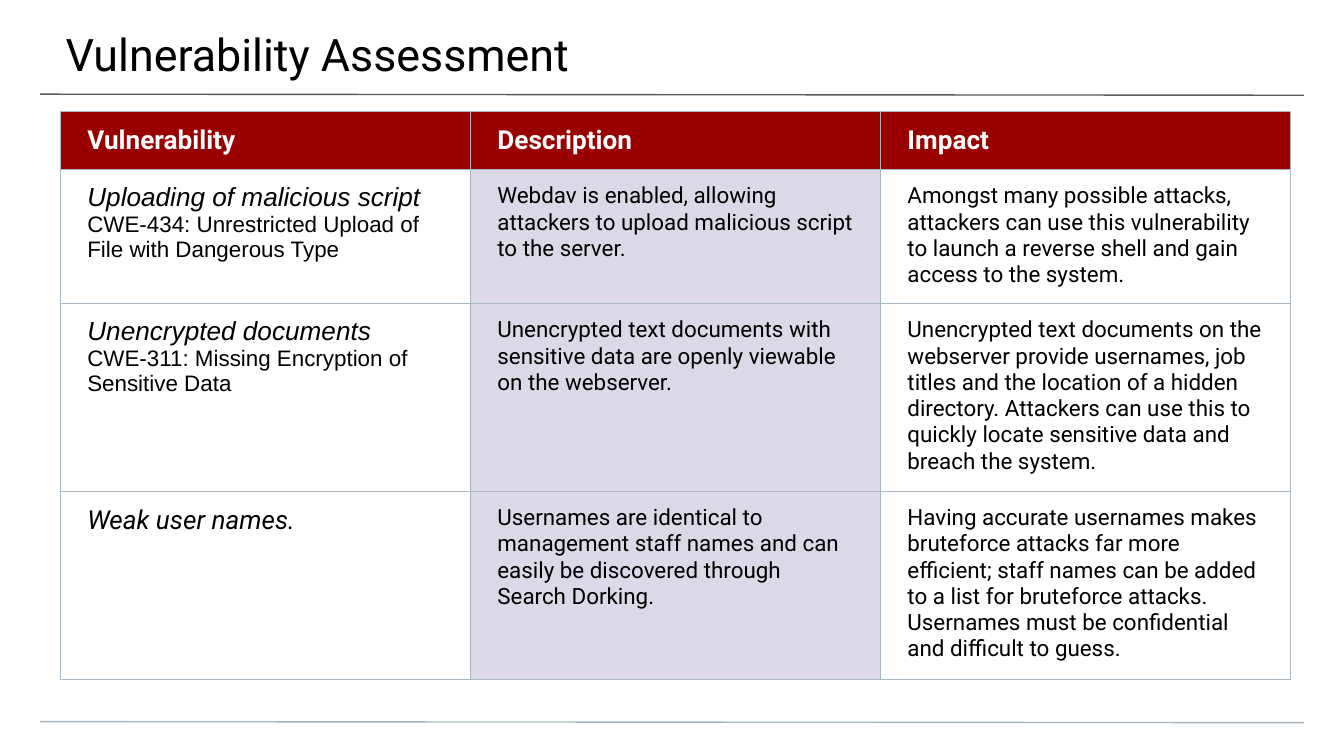
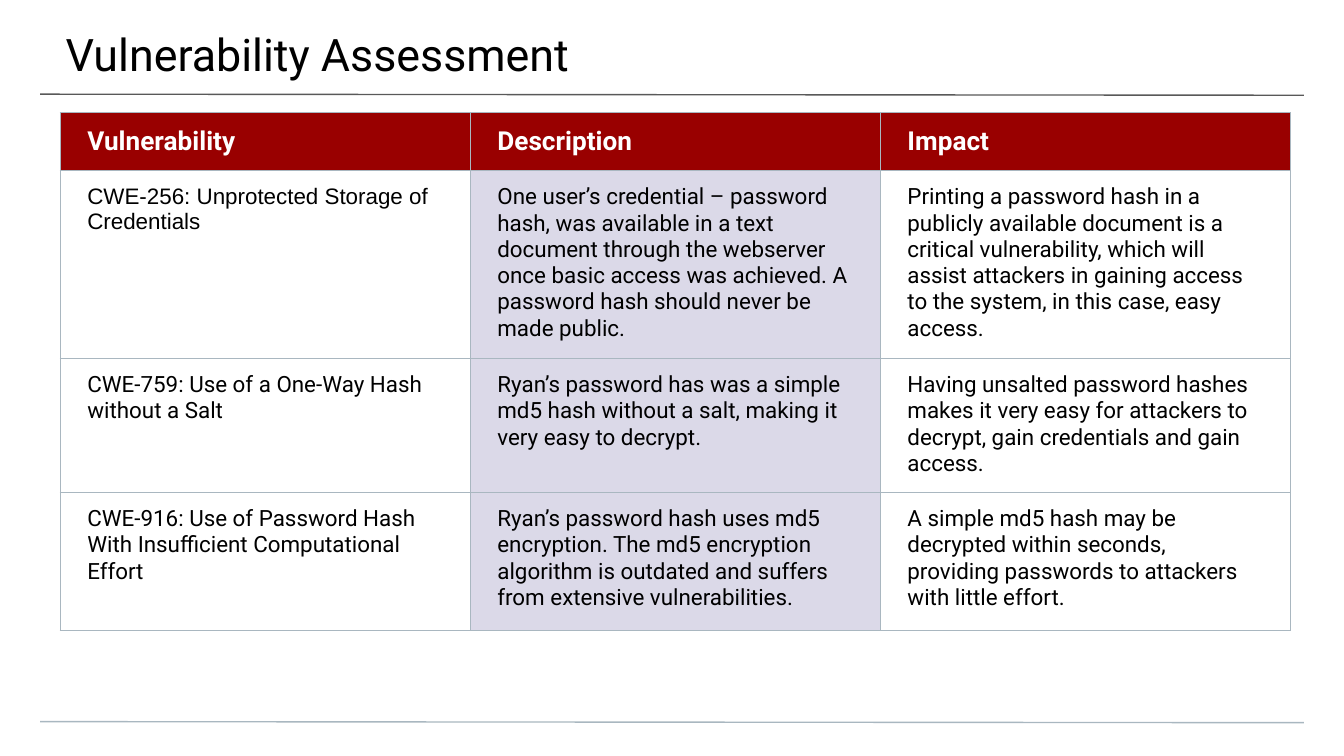
from dataclasses import dataclass

from lxml.etree import SubElement
from pptx import Presentation
from pptx.dml.color import RGBColor
from pptx.enum.shapes import MSO_CONNECTOR
from pptx.enum.text import MSO_ANCHOR
from pptx.oxml.ns import qn
from pptx.util import Cm, Pt

BLACK = RGBColor(0x00, 0x00, 0x00)
WHITE = RGBColor(0xFF, 0xFF, 0xFF)
DARK_RED = RGBColor(0x99, 0x00, 0x00)
LAVENDER = RGBColor(0xDB, 0xD9, 0xE8)
GREY = RGBColor(0x59, 0x59, 0x59)
BLUE_GREY = RGBColor(0xA9, 0xB7, 0xC0)

RULE_WIDTH = Pt(0.75)
COLUMN_WIDTH = Cm(7.75)
HEADER_HEIGHT = 1.1
HEADINGS = ("Vulnerability", "Description", "Impact")


@dataclass(frozen=True)
class TextStyle:
    size: int = 12
    font: str = "Roboto"
    color: RGBColor = BLACK
    bold: bool = False
    italic: bool = False

    def apply(self, paragraph):
        font = paragraph.font
        font.size, font.name = Pt(self.size), self.font
        font.bold, font.italic = self.bold, self.italic
        font.color.rgb = self.color


TITLE = TextStyle(size=24)
HEADING = TextStyle(size=14, color=WHITE, bold=True)
BODY = TextStyle()
WEAKNESS = TextStyle(font="Arial")
FINDING = TextStyle(size=14, font="Arial", italic=True)
SHORT_FINDING = TextStyle(size=14, italic=True)

# Each row: height in cm, styled paragraphs of the finding, description, impact.
SERVER_FINDINGS = [
    (2.49,
     [("Uploading of malicious script", FINDING),
      ("CWE-434: Unrestricted Upload of File with Dangerous Type", WEAKNESS)],
     "Webdav is enabled, allowing attackers to upload malicious script to the server.",
     "Amongst many possible attacks, attackers can use this vulnerability to launch "
     "a reverse shell and gain access to the system."),
    (3.48,
     [("Unencrypted documents", FINDING),
      ("CWE-311: Missing Encryption of Sensitive Data", WEAKNESS)],
     "Unencrypted text documents with sensitive data are openly viewable on the webserver.",
     "Unencrypted text documents on the webserver provide usernames, job titles and "
     "the location of a hidden directory. Attackers can use this to quickly locate "
     "sensitive data and breach the system."),
    (3.48,
     [("Weak user names.", SHORT_FINDING)],
     "Usernames are identical to management staff names and can easily be discovered "
     "through Search Dorking.",
     "Having accurate usernames makes bruteforce attacks far more efficient; staff "
     "names can be added to a list for bruteforce attacks. Usernames must be "
     "confidential and difficult to guess."),
]
PASSWORD_FINDINGS = [
    (3.48,
     [("CWE-256: Unprotected Storage of Credentials", WEAKNESS)],
     "One user’s credential – password hash, was available in a text document through "
     "the webserver once basic access was achieved. A password hash should never be "
     "made public.",
     "Printing a password hash in a publicly available document is a critical "
     "vulnerability, which will assist attackers in gaining access to the system, in "
     "this case, easy access."),
    (2.49,
     [("CWE-759: Use of a One-Way Hash without a Salt", BODY)],
     "Ryan’s password has was a simple md5 hash without a salt, making it very easy to "
     "decrypt.",
     "Having unsalted password hashes makes it very easy for attackers to decrypt, "
     "gain credentials and gain access."),
    (2.6,
     [("CWE-916: Use of Password Hash With Insufficient Computational Effort", BODY)],
     "Ryan’s password hash uses md5 encryption. The md5 encryption algorithm is "
     "outdated and suffers from extensive vulnerabilities.",
     "A simple md5 hash may be decrypted within seconds, providing passwords to "
     "attackers with little effort."),
]


class AssessmentDeck:
    """Holds the presentation, its shared look and the current slide."""

    def __init__(self):
        self.presentation = Presentation()
        self.presentation.slide_width = Cm(25.4)
        self.presentation.slide_height = Cm(14.29)
        self.slide = None

    def add_slide(self, title):
        self.slide = self.presentation.slides.add_slide(
            self.presentation.slide_layouts[6])
        self.add_rule(1.78, GREY)
        self.add_rule(13.64, BLUE_GREY)
        self.add_title(title)

    def add_rule(self, top, color):
        """Draw a page-wide line that drops very slightly to the right."""
        rule = self.slide.shapes.add_connector(
            MSO_CONNECTOR.STRAIGHT, Cm(0.76), Cm(top), Cm(24.64), Cm(top + 0.02))
        rule.line.color.rgb = color
        rule.line.width = RULE_WIDTH
        SubElement(rule._element.spPr, qn("a:effectLst"))

    def add_title(self, text):
        frame = self.slide.shapes.add_textbox(
            Cm(-0.03), Cm(0), Cm(25.47), Cm(1.47)).text_frame
        frame.word_wrap = True
        frame.vertical_anchor = MSO_ANCHOR.TOP
        frame.margin_left, frame.margin_right = Cm(1.27), Cm(0.76)
        frame.margin_top, frame.margin_bottom = Cm(0.51), Cm(0.25)
        frame.text = text
        TITLE.apply(frame.paragraphs[0])

    def add_findings(self, top, findings):
        heights = [HEADER_HEIGHT] + [height for height, *_ in findings]
        table = self.slide.shapes.add_table(
            len(heights), len(HEADINGS), Cm(1.14), Cm(top),
            COLUMN_WIDTH * len(HEADINGS), Cm(sum(heights))).table
        table.horz_banding = False
        for column in table.columns:
            column.width = COLUMN_WIDTH
        for row, height in zip(table.rows, heights):
            row.height = Cm(height)

        for column, heading in enumerate(HEADINGS):
            cell = table.cell(0, column)
            self.fill_cell(cell, [(heading, HEADING)], DARK_RED)
            cell.vertical_anchor = MSO_ANCHOR.MIDDLE
        for row, (_, finding, description, impact) in enumerate(findings, start=1):
            self.fill_cell(table.cell(row, 0), finding)
            self.fill_cell(table.cell(row, 1), [(description, BODY)], LAVENDER)
            self.fill_cell(table.cell(row, 2), [(impact, BODY)])

    def fill_cell(self, cell, paragraphs, color=None):
        cell.margin_left = cell.margin_right = Cm(0.51)
        cell.margin_top = cell.margin_bottom = Cm(0.25)
        self.add_borders(cell)
        if color is None:
            cell.fill.background()
        else:
            cell.fill.solid()
            cell.fill.fore_color.rgb = color
        cell.text = "\n".join(text for text, _ in paragraphs)
        for paragraph, (_, style) in zip(cell.text_frame.paragraphs, paragraphs):
            style.apply(paragraph)

    def add_borders(self, cell):
        properties = cell._tc.get_or_add_tcPr()
        for side in ("lnL", "lnR", "lnT", "lnB"):
            border = SubElement(properties, qn(f"a:{side}"), w=str(RULE_WIDTH))
            fill = SubElement(border, qn("a:solidFill"))
            SubElement(fill, qn("a:srgbClr"), val=str(BLUE_GREY))


def main():
    deck = AssessmentDeck()
    for top, findings in ((2.11, SERVER_FINDINGS), (2.13, PASSWORD_FINDINGS)):
        deck.add_slide("Vulnerability Assessment")
        deck.add_findings(top, findings)
    deck.presentation.save("out.pptx")


if __name__ == "__main__":
    main()
